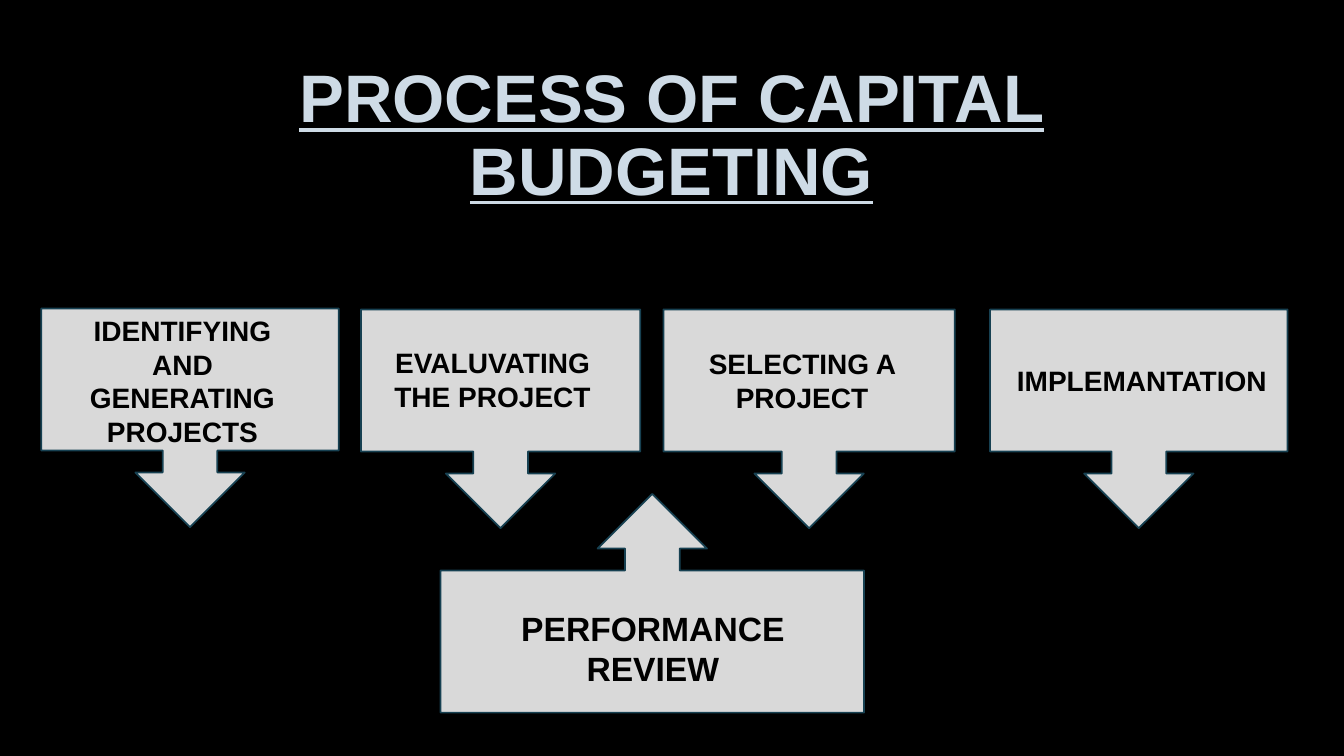
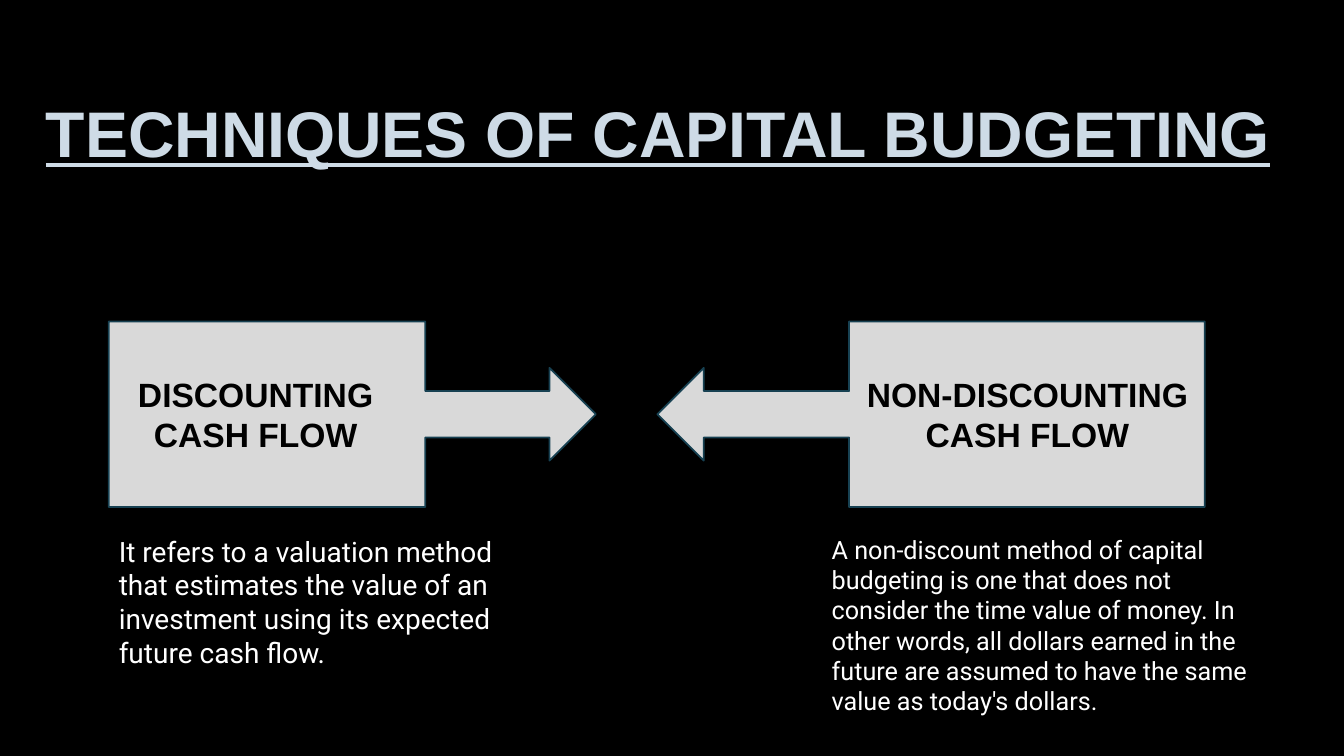
from pptx import Presentation
from pptx.dml.color import RGBColor
from pptx.enum.shapes import MSO_SHAPE
from pptx.enum.text import MSO_ANCHOR, MSO_AUTO_SIZE, PP_ALIGN
from pptx.util import Inches, Pt

BLACK = RGBColor(0x00, 0x00, 0x00)
WHITE = RGBColor(0xFF, 0xFF, 0xFF)
PALE_BLUE = RGBColor(0xCE, 0xDB, 0xE6)
GREY = RGBColor(0xD9, 0xD9, 0xD9)
TEAL = RGBColor(0x17, 0x41, 0x52)


class Deck:
    heading_font = "Arial"
    body_font = "Roboto"

    def __init__(self):
        self.prs = Presentation()
        self.prs.slide_width = Inches(13.33)
        self.prs.slide_height = Inches(7.5)
        self.s = None

    def slide(self):
        self.s = self.prs.slides.add_slide(self.prs.slide_layouts[6])
        fill = self.s.background.fill
        fill.solid()
        fill.fore_color.rgb = BLACK

    def text(self, box, text, size, font, color, align):
        sp = self.s.shapes.add_textbox(*map(Inches, box))
        tf = sp.text_frame
        tf.word_wrap = True
        tf.auto_size = MSO_AUTO_SIZE.SHAPE_TO_FIT_TEXT
        p = tf.paragraphs[0]
        p.alignment = align
        r = p.add_run()
        r.text = text
        r.font.size = Pt(size)
        r.font.name = font
        r.font.color.rgb = color
        return tf, p, r

    def title(self, left, width, text, size):
        tf, p, r = self.text((left, 0.67, width, 1.38), text, size,
                             self.heading_font, PALE_BLUE, PP_ALIGN.CENTER)
        tf.auto_size = MSO_AUTO_SIZE.NONE
        tf.vertical_anchor = MSO_ANCHOR.MIDDLE
        p.line_spacing = 0.9
        r.font.bold = True
        r.font.underline = True

    def label(self, box, text, size):
        _, _, r = self.text(box, text, size, self.heading_font, BLACK, PP_ALIGN.CENTER)
        r.font.bold = True

    def body(self, box, text, size):
        self.text(box, text, size, self.body_font, WHITE, PP_ALIGN.LEFT)

    def callout(self, kind, box):
        sp = self.s.shapes.add_shape(kind, *map(Inches, box))
        sp.shadow.inherit = False
        sp.fill.solid()
        sp.fill.fore_color.rgb = GREY
        sp.line.color.rgb = TEAL
        sp.line.width = Pt(1.25)


def process_slide(deck):
    deck.slide()
    deck.title(1, 11.32, "PROCESS OF CAPITAL BUDGETING", 48)
    steps = [
        ((0.41, 3.06, 2.95), (0.53, 3.06, 2.56, 1.45), "IDENTIFYING AND GENERATING PROJECTS"),
        ((3.58, 3.07, 2.77), (3.81, 3.38, 2.15, 0.77), "EVALUVATING THE PROJECT"),
        ((6.58, 3.07, 2.89), (6.66, 3.39, 2.59, 0.77), "SELECTING A PROJECT"),
        ((9.82, 3.07, 2.95), (9.88, 3.56, 2.89, 0.44), "IMPLEMANTATION"),
    ]
    height = 2.17
    for callout_box, label_box, text in steps:
        deck.callout(MSO_SHAPE.DOWN_ARROW_CALLOUT, (*callout_box, height))
        deck.label(label_box, text, 20)
    deck.callout(MSO_SHAPE.UP_ARROW_CALLOUT, (4.37, 4.9, 4.2, height))
    deck.label((4.58, 5.98, 3.79, 0.91), "PERFORMANCE REVIEW", 24)


def techniques_slide(deck):
    deck.slide()
    deck.title(0.26, 12.53, "TECHNIQUES OF CAPITAL BUDGETING", 46)
    techniques = [
        (MSO_SHAPE.RIGHT_ARROW_CALLOUT, 1.08, 4.83, 0.78, 3.51, "DISCOUNTING CASH FLOW"),
        (MSO_SHAPE.LEFT_ARROW_CALLOUT, 6.52, 5.43, 8.34, 3.7, "NON-DISCOUNTING CASH FLOW"),
    ]
    for kind, left, width, label_left, label_width, text in techniques:
        deck.callout(kind, (left, 3.19, width, 1.84))
        deck.label((label_left, 3.66, label_width, 0.91), text, 24)
    deck.body((1.08, 5.25, 3.94, 1.45),
              "It refers to a valuation method that estimates the value of an "
              "investment using its expected future cash flow.", 20)
    deck.body((8.15, 5.25, 4.49, 2.22),
              "A non-discount method of capital budgeting is one that does not "
              "consider the time value of money. In other words, all dollars earned "
              "in the future are assumed to have the same value as today's dollars.", 18)


def main():
    deck = Deck()
    process_slide(deck)
    techniques_slide(deck)
    deck.prs.save("out.pptx")


if __name__ == "__main__":
    main()
